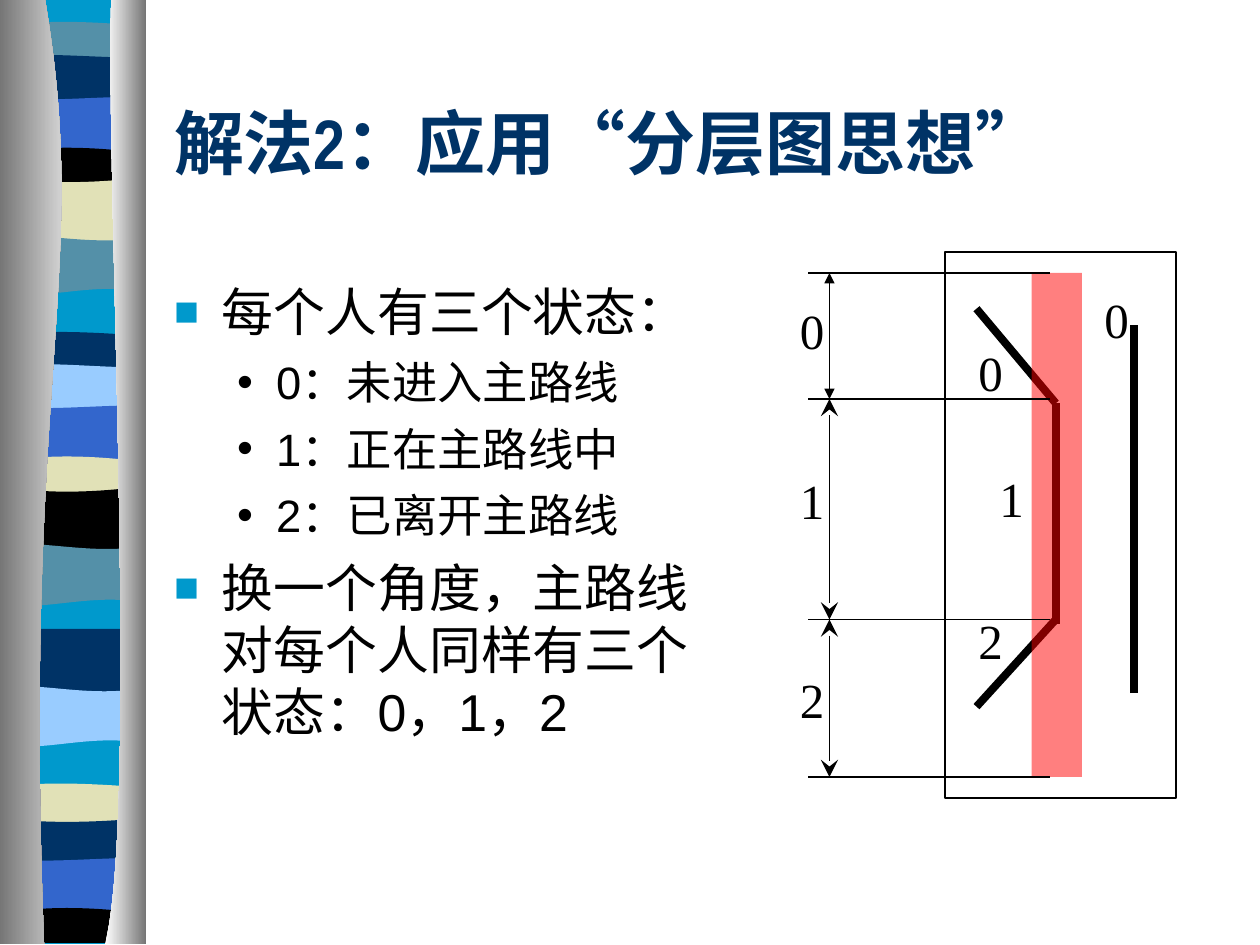
from lxml.etree import SubElement
from pptx import Presentation
from pptx.dml.color import RGBColor
from pptx.enum.lang import MSO_LANGUAGE_ID
from pptx.enum.shapes import MSO_CONNECTOR, MSO_SHAPE
from pptx.enum.text import MSO_ANCHOR
from pptx.oxml.ns import qn
from pptx.util import Inches, Pt

CELL = Inches(1 / 12)  # the slide is a grid of 120 columns by 90 rows

BLACK = RGBColor(0x00, 0x00, 0x00)
WHITE = RGBColor(0xFF, 0xFF, 0xFF)
GREY = RGBColor(0x76, 0x76, 0x76)
NAVY = RGBColor(0x00, 0x33, 0x66)
BLUE = RGBColor(0x33, 0x66, 0xCC)
CYAN = RGBColor(0x00, 0x99, 0xCC)
TEAL = RGBColor(0x54, 0x90, 0xA8)
SKY = RGBColor(0x99, 0xCC, 0xFF)
CREAM = RGBColor(0xE1, 0xE1, 0xB7)
RED = RGBColor(0xFF, 0x00, 0x00)

# colour, row of the top edge, bend of that edge at its left and right part;
# the cyan ribbon shows through where a band has no colour
BANDS = [
    (TEAL, 2.5, -0.6, -0.5), (NAVY, 5.5, -0.6, 0),
    (BLUE, 9.2, 0.6, 0), (BLACK, 14.6, -0.7, -0.7), (CREAM, 16.9, 0.6, 0.6),
    (TEAL, 22.6, -0.6, 0.9), (None, 27.8, 1, -1), (NAVY, 32, -0.6, -0.4),
    (SKY, 35, -0.7, 0), (BLUE, 38.6, 0.6, 0), (CREAM, 44, -0.7, -0.7),
    (BLACK, 46.3, 0.7, 0.7), (TEAL, 52, -0.7, 0.9), (None, 57.4, 1, -1),
    (NAVY, 59.9, 0, 0), (SKY, 65.5, -0.6, 1), (None, 70.8, 1, -1),
    (CREAM, 75, -0.6, -0.4), (NAVY, 77.9, 0.5, 0.5), (BLUE, 81.7, 0.6, 0),
    (BLACK, 87, -0.7, -0.7), (None, 89.8, 0, 0),
]

ITEMS = [
    (0, "每个人有三个状态："),
    (1, "0：未进入主路线"),
    (1, "1：正在主路线中"),
    (1, "2：已离开主路线"),
    (0, "换一个角度，主路线对每个人同样有三个状态：0，1，2"),
]
# bullet, its colour and size in %, indent and hang in inches, space and size in points
LEVELS = [
    ("■", CYAN, 80, 0.38, 0.38, 8, 29.6),
    ("•", BLACK, 100, 0.81, 0.31, 7, 25.9),
]


def grid(*cells):
    return [round(cell * CELL) for cell in cells]


def outline(slide, points, curves=()):
    """Closed shape; each index in curves turns three steps into one Bezier."""
    points = [grid(*point) for point in points]
    form = slide.shapes.build_freeform(*points[0], scale=1.0)
    form.add_line_segments(points[1:], close=True)
    shape = form.convert_to_shape()
    steps = shape._element.findall(".//" + qn("a:lnTo"))
    for first in curves:
        bend = steps[first]
        bend.tag = qn("a:cubicBezTo")
        for step in steps[first + 1:first + 3]:
            bend.append(step[0])
            step.getparent().remove(step)
    shape.shadow.inherit = False
    shape.line.fill.background()
    return shape


def paint(shape, color):
    shape.fill.solid()
    shape.fill.fore_color.rgb = color


def shade(shape, start, end):
    """Fill from left to right."""
    shape.fill.gradient()
    shape.fill.gradient_angle = 0
    for stop, color in zip(shape.fill.gradient_stops, (start, end)):
        stop.color.rgb = color


def rule(slide, start, end, width=0.75, arrow=None, size="med"):
    line = slide.shapes.add_connector(
        MSO_CONNECTOR.STRAIGHT, *grid(*start, *end))
    line.line.color.rgb = BLACK
    line.line.width = Pt(width)
    if arrow:
        ends = line.line._get_or_add_ln()
        for tag in ("a:headEnd", "a:tailEnd"):
            SubElement(ends, qn(tag), type=arrow, w=size, len=size)
    SubElement(line._element.spPr, qn("a:effectLst"))


def panel(slide, box):
    shape = slide.shapes.add_shape(MSO_SHAPE.RECTANGLE, *grid(*box))
    shape.shadow.inherit = False
    return shape


def style(para, size, face, color=BLACK, bold=False):
    for run in para.runs:
        font = run.font
        font.size, font.name, font.bold = Pt(size), face, bold
        font.color.rgb = color
        font.language_id = MSO_LANGUAGE_ID.SIMPLIFIED_CHINESE


def frame(slide, box):
    text = slide.shapes.add_textbox(*grid(*box)).text_frame
    text.word_wrap = True
    return text


def label(slide, x, y, value, h=6.8):
    text = frame(slide, (x, y, 7, h))
    text.text = value
    for para in text.paragraphs:
        style(para, 28, "Times New Roman")
    return text


def border(slide, box):
    """Striped ribbon between two shaded curtains."""
    x, y, w, h = box
    left, right, foot = x + 0.6, x + w - 0.2, y + h
    ribbon = outline(slide, [(left, y), (right, y),
                             (right, foot), (left, foot)])
    paint(ribbon, CYAN)
    for band, after in zip(BANDS, BANDS[1:]):
        color, top, bend, turn = band
        if color is None:
            continue
        under, low, dip, rise = after
        top, low = y + top, y + low + (0.5 if under else 0)
        shape = outline(slide, [
            (left, top), (left + 3, top + bend), (left + 8, top + turn),
            (right, top), (right, low), (left + 8, low + rise),
            (left + 3, low + dip), (left, low)], (0, 4))
        paint(shape, color)
    left = outline(slide, [
        (x + 4.3, y), (x + 8.7, y + 26), (x + 2.1, y + 35.5),
        (x + 4.2, foot), (x, foot), (x, y)], (0,))
    shade(left, GREY, WHITE)
    right = outline(slide, [
        (x + 10.6, y), (x + 10, y + 15), (x + 13.3, y + 77.6),
        (x + 10, foot), (x + w, foot), (x + w, y)], (0,))
    shade(right, WHITE, GREY)


def title(slide, box):
    text = frame(slide, box)
    text.vertical_anchor = MSO_ANCHOR.MIDDLE
    text.text = "解法2：应用“分层图思想”"
    style(text.paragraphs[0], 40, "Arial Narrow", NAVY, True)


def body(slide, box):
    text = frame(slide, box)
    text.text = "\n".join(item for _, item in ITEMS)
    for para, (level, _) in zip(text.paragraphs, ITEMS):
        mark, color, share, indent, hang, space, size = LEVELS[level]
        para.level = level
        para.space_before = Pt(space)
        style(para, size, "Arial")
        props = para._p.get_or_add_pPr()
        props.set("marL", str(Inches(indent)))
        props.set("indent", str(-Inches(hang)))
        tint = SubElement(props, qn("a:buClr"))
        SubElement(tint, qn("a:srgbClr"), val=str(color))
        SubElement(props, qn("a:buSzPct"), val=str(share * 1000))
        SubElement(props, qn("a:buFont"), typeface="Arial")
        SubElement(props, qn("a:buChar"), char=mark)


def routes(slide, box):
    """Framed routes, with the main route as a red strip."""
    x, y, w, h = box
    edge = panel(slide, box)
    edge.fill.background()
    edge.line.color.rgb = BLACK
    edge.line.width = Pt(0.75)
    bend = x + 10.55
    for start, end in [((bend, y + 35.4), (bend, y + 14.4)),
                       ((bend, y + 14.4), (x + 3, y + 5.4)),
                       ((bend, y + 35), (x + 3, y + 43.3)),
                       ((x + 18, y + 42), (x + 18, y + 7))]:
        rule(slide, start, end, 4.5)
    strip = panel(slide, (x + 8.25, y + 2, 4.8, h - 4))
    strip.line.fill.background()
    paint(strip, RED)
    tint = strip._element.spPr.find(".//" + qn("a:srgbClr"))
    SubElement(tint, qn("a:alpha"), val="50000")
    ends = label(slide, x + 2, y + 8, "0\n2", 32.4)
    ends.paragraphs[1].space_before = Pt(120)
    label(slide, x + 4, y + 20, "1")
    label(slide, x + 14, y + 3, "0")


def scale(slide, box):
    """Level lines with a measured span for each state."""
    x, y, w, h = box
    rows = [y, y + 12, y + 33, y + h]
    for row in rows:
        rule(slide, (x + w, row), (x + 2, row))
    heads = [("triangle", "med"), ("stealth", "lg"), ("stealth", "lg")]
    tops = [y + 2, y + 18.2, y + 37.2]
    for state, (top, low) in enumerate(zip(rows, rows[1:])):
        rule(slide, (x + 4, top), (x + 4, low), 0.75, *heads[state])
        label(slide, x, tops[state], str(state))


def main():
    deck = Presentation()
    deck.slide_width, deck.slide_height = grid(120, 90)
    slide = deck.slides.add_slide(deck.slide_layouts[6])
    border(slide, (0, 0, 13.9, 89.9))
    title(slide, (15.4, 6, 102, 15))
    body(slide, (15.4, 26.05, 54.6, 52))
    routes(slide, (90, 24, 22, 52))
    scale(slide, (75, 26, 25, 48))
    deck.save("out.pptx")


if __name__ == "__main__":
    main()
